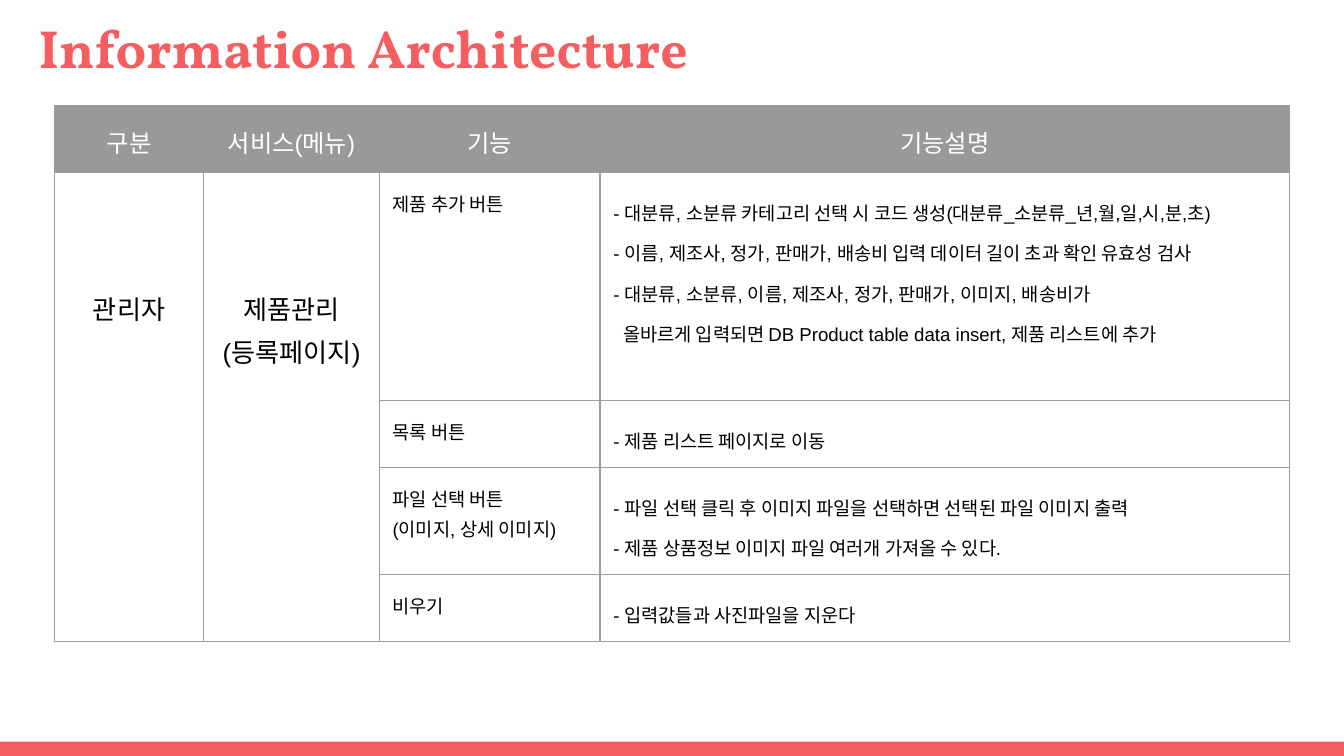
from dataclasses import dataclass

from lxml.etree import SubElement
from pptx import Presentation
from pptx.dml.color import RGBColor
from pptx.enum.shapes import MSO_SHAPE
from pptx.enum.text import MSO_ANCHOR, MSO_AUTO_SIZE, PP_ALIGN
from pptx.oxml.ns import qn
from pptx.util import Cm, Pt


@dataclass(frozen=True)
class Theme:
    """Colours, fonts and type sizes of the deck."""

    accent: str = "F55E61"
    head: str = "999999"
    rule: str = "9E9E9E"
    light: str = "FFFFFF"
    dark: str = "000000"
    serif: str = "Vollkorn"
    sans: str = "Arial"
    title: float = 28.8
    label: float = 13
    group: float = 14
    body: float = 10


WIDTH, HEIGHT = Cm(25.4), Cm(14.29)
PAD = Cm(0.25)
COLS = (2.82, 3.32, 4.17, 13.03)
ROWS = (1.09, 2.46, 0.97, 1.04, 1.07)
HEADS = ("구분", "서비스(메뉴)", "기능", "기능설명")
GROUPS = ("관리자", "제품관리\n(등록페이지)")
TASKS = (
    (
        "제품 추가 버튼",
        "- 대분류, 소분류 카테고리 선택 시 코드 생성(대분류_소분류_년,월,일,시,분,초)\n"
        "- 이름, 제조사, 정가, 판매가, 배송비 입력 데이터 길이 초과 확인 유효성 검사\n"
        "- 대분류, 소분류, 이름, 제조사, 정가, 판매가, 이미지, 배송비가\n"
        "올바르게 입력되면 DB Product table data insert, 제품 리스트에 추가",
    ),
    ("목록 버튼", "- 제품 리스트 페이지로 이동"),
    (
        "파일 선택 버튼\n(이미지, 상세 이미지)",
        "- 파일 선택 클릭 후 이미지 파일을 선택하면 선택된 파일 이미지 출력\n"
        "- 제품 상품정보 이미지 파일 여러개 가져올 수 있다.",
    ),
    ("비우기", "- 입력값들과 사진파일을 지운다"),
)


def write(frame, text, *, size, color, font, bold=False, align=PP_ALIGN.LEFT, gap=1.0):
    """Fill a text frame, one paragraph per line of text."""
    frame.text = text
    frame.word_wrap = True
    for para in frame.paragraphs:
        para.alignment = align
        para.line_spacing = gap
        for run in para.runs:
            run.font.size = Pt(size)
            run.font.bold = bold
            run.font.name = font
            run.font.color.rgb = RGBColor.from_string(color)


class Page:
    """Hold the theme and the slide that is being built."""

    def __init__(self, deck, theme):
        """Add a title-only slide to the deck."""
        self.theme = theme
        self.slide = deck.slides.add_slide(deck.slide_layouts[5])

    def title(self, text):
        """Place and format the title."""
        box = self.slide.shapes.title
        box.left, box.top, box.width, box.height = Cm(0.48), Cm(0.02), Cm(24.23), Cm(1.73)
        frame = box.text_frame
        frame.margin_left = frame.margin_right = PAD
        frame.margin_top = frame.margin_bottom = PAD
        frame.vertical_anchor = MSO_ANCHOR.TOP
        frame.auto_size = MSO_AUTO_SIZE.NONE
        look = self.theme
        write(frame, text, size=look.title, color=look.accent, font=look.serif, bold=True)

    def bar(self, tall):
        """Draw the band along the bottom edge."""
        band = self.slide.shapes.add_shape(MSO_SHAPE.RECTANGLE, 0, HEIGHT - tall, WIDTH, tall)
        band.shadow.inherit = False
        band.fill.solid()
        band.fill.fore_color.rgb = RGBColor.from_string(self.theme.accent)
        band.line.fill.background()

    def grid(self, left, top, cols, rows):
        """Add a plain ruled table and return it."""
        frame = self.slide.shapes.add_table(
            len(rows), len(cols), left, top, Cm(sum(cols)), Cm(sum(rows)))
        table = frame.table
        table.first_row = table.horz_banding = False
        for col, width in zip(table.columns, cols):
            col.width = Cm(width)
        for index, (row, height) in enumerate(zip(table.rows, rows)):
            row.height = Cm(height)
            for cell in row.cells:
                self.frame(cell, None if index else self.theme.head)
        return table

    def frame(self, cell, fill):
        """Set the margins, rules and fill of a cell."""
        cell.margin_left = cell.margin_right = PAD
        cell.margin_top = cell.margin_bottom = PAD
        props = cell._tc.get_or_add_tcPr()
        for side in "LRTB":
            line = SubElement(props, qn(f"a:ln{side}"), w=str(Pt(0.75)))
            paint = SubElement(line, qn("a:solidFill"))
            SubElement(paint, qn("a:srgbClr"), val=fill or self.theme.rule)
        if fill:
            cell.fill.solid()
            cell.fill.fore_color.rgb = RGBColor.from_string(fill)
        else:
            cell.fill.background()

    def cell(self, cell, text, **style):
        """Write into a table cell in the table's font."""
        base = {"size": self.theme.body, "color": self.theme.dark, "gap": 1.15}
        write(cell.text_frame, text, font=self.theme.sans, **(base | style))


def main():
    """Build the slide and save it."""
    deck = Presentation()
    deck.slide_width, deck.slide_height = WIDTH, HEIGHT
    theme = Theme()
    page = Page(deck, theme)
    page.bar(Cm(0.27))
    page.title("Information Architecture")
    table = page.grid(Cm(1.03), Cm(2), COLS, ROWS)
    for col, text in enumerate(HEADS):
        page.cell(table.cell(0, col), text, size=theme.label, color=theme.light,
                  align=PP_ALIGN.CENTER)
    for col, text in enumerate(GROUPS):
        cell = table.cell(1, col)
        cell.merge(table.cell(len(TASKS), col))
        cell.margin_top = Cm(2.09)
        page.cell(cell, text, size=theme.group, align=PP_ALIGN.CENTER)
    for row, (task, notes) in enumerate(TASKS, 1):
        page.cell(table.cell(row, 2), task)
        page.cell(table.cell(row, 3), notes, gap=1.5)
    last = table.cell(1, 3).text_frame.paragraphs[-1]
    last._p.get_or_add_pPr().set("marL", str(Cm(0.19)))
    deck.save("out.pptx")


if __name__ == "__main__":
    main()
